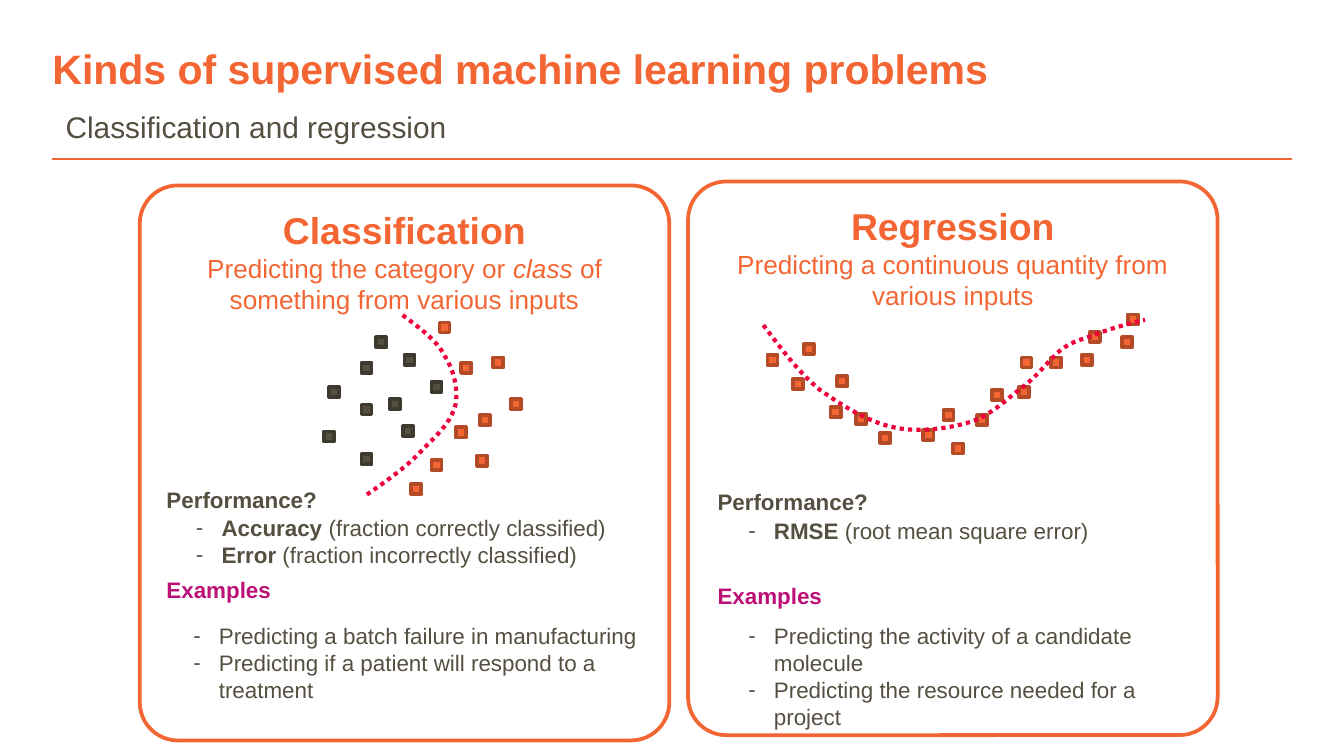
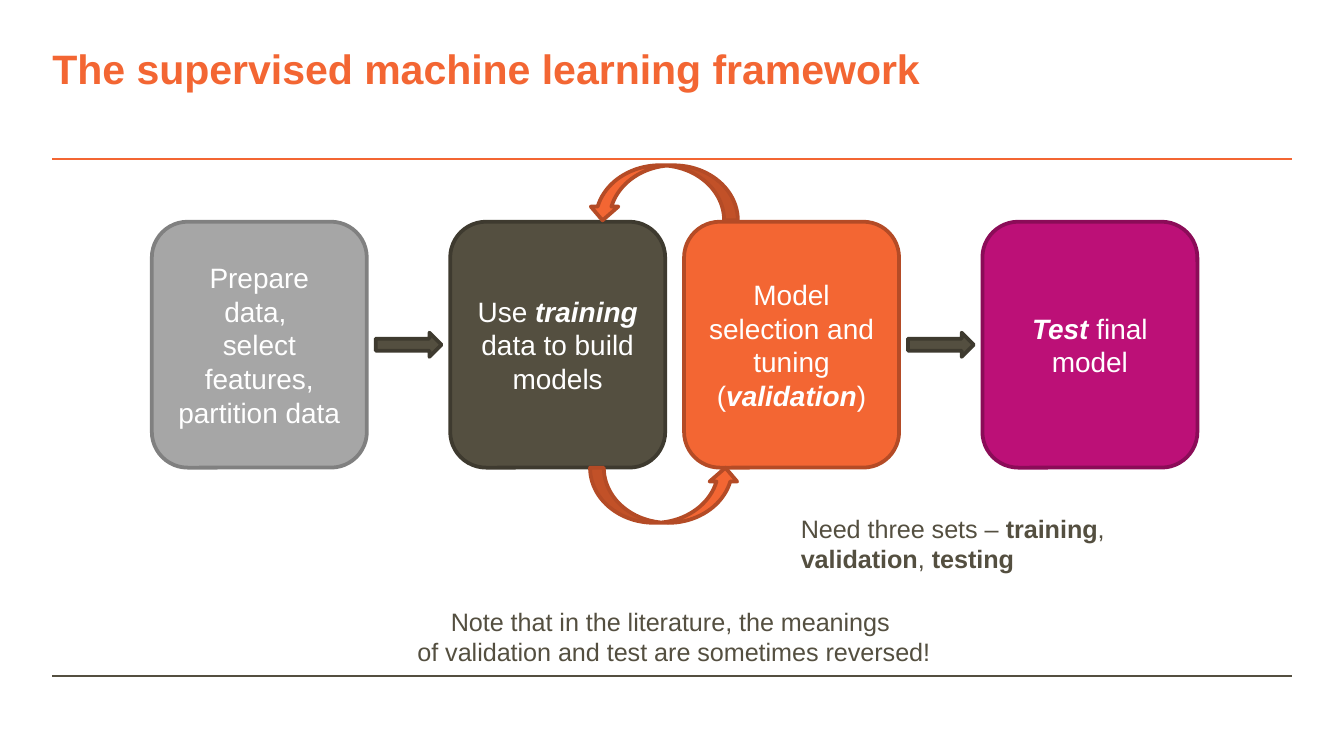
from lxml.etree import SubElement
from pptx import Presentation
from pptx.dml.color import RGBColor
from pptx.enum.dml import MSO_LINE
from pptx.enum.shapes import MSO_CONNECTOR, MSO_SHAPE
from pptx.enum.text import MSO_ANCHOR, MSO_AUTO_SIZE, PP_ALIGN
from pptx.oxml.ns import qn
from pptx.util import Inches, Pt

W = 10
H = W * 9 / 16
MARGIN = 0.39
FONT = "Arial"
C = {
    "orange": "F36633", "orange_edge": "B44B26",
    "olive": "544F40", "olive_edge": "3E3A2F",
    "grey": "A6A6A6", "grey_edge": "808080",
    "magenta": "BC1077", "magenta_edge": "8B0C58",
    "curve": "ED003C", "white": "FFFFFF",
}
BOLD, ITALIC, BOTH = {"bold": True}, {"italic": True}, {"bold": True, "italic": True}
HEAD = {"size": 20, "bold": True}

# Content: a paragraph is a list of (text, run format) pairs
DOT = 5.4 / 72
CARD_W = 3.94
CARDS = [
    {
        "at": (1.04, 1.38), "height": 4.13,
        "text": [[("Classification", HEAD)],
                 [("Predicting the category or ", {}), ("class", ITALIC),
                  (" of something from various inputs", {})]],
        "dots": {
            "orange": [(3.43, 2.7), (3.57, 3.09), (3.39, 3.18), (3.55, 3.39), (3.06, 3.6),
                       (3.27, 2.4), (3.67, 2.66), (3.8, 2.97), (3.21, 3.42)],
            "olive": [(3, 3.17), (2.69, 2.7), (3.21, 2.84), (2.69, 3.01), (2.8, 2.51),
                      (2.9, 2.97), (2.69, 3.38), (2.45, 2.88), (3.01, 2.64), (2.41, 3.21)],
        },
        "curve": [(2.73, 3.68), (3.05, 3.46), (3.08, 3.41), (3.19, 3.3), (3.3, 3.19),
                  (3.36, 3.12), (3.39, 3.01), (3.41, 2.9), (3.38, 2.76), (3.31, 2.65),
                  (3.25, 2.53), (3.12, 2.44), (2.99, 2.34)],
        "labels": (1.14, 3.57, 4.24),
        "measures_at": (1.36, 3.78, 3.31, 0.5),
        "measures": [[("Accuracy", BOLD), (" (fraction correctly classified)", {})],
                     [("Error", BOLD), (" (fraction incorrectly classified)", {})]],
        "examples_at": (1.34, 4.58, 3.54, 0.71),
        "examples": [[("Predicting a batch failure in manufacturing", {})],
                     [("Predicting if a patient will respond to a treatment", {})]],
    },
    {
        "at": (5.12, 1.35), "height": 4.12,
        "text": [[("Regression", HEAD)],
                 [("Predicting a continuous quantity from various inputs", {})]],
        "dots": {
            "orange": [(7.27, 3.09), (6.87, 3.2), (5.71, 2.64), (6.55, 3.22), (7.58, 2.88),
                       (5.9, 2.82), (8.11, 2.47), (8.39, 2.34), (7.82, 2.66), (6.23, 2.8),
                       (7.02, 3.05), (7.6, 2.66), (8.35, 2.51), (6.18, 3.03), (7.38, 2.9),
                       (5.98, 2.56), (8.05, 2.64), (6.37, 3.08), (7.09, 3.3)],
        },
        "curve": [(5.68, 2.42), (5.81, 2.59), (5.94, 2.77), (6.1, 2.9), (6.27, 3.02),
                  (6.46, 3.14), (6.65, 3.18), (6.83, 3.22), (7.06, 3.19), (7.22, 3.14),
                  (7.38, 3.09), (7.5, 2.96), (7.61, 2.88), (7.73, 2.79), (7.81, 2.67),
                  (7.9, 2.6), (7.98, 2.54), (8.04, 2.53), (8.15, 2.49), (8.25, 2.45),
                  (8.39, 2.41), (8.52, 2.38)],
        "labels": (5.24, 3.58, 4.28),
        "measures_at": (5.47, 3.8, 3.31, 0.3),
        "measures": [[("RMSE", BOLD), (" (root mean square error)", {})]],
        "examples_at": (5.47, 4.58, 3.54, 0.91),
        "examples": [[("Predicting the activity of a candidate molecule", {})],
                     [("Predicting the resource needed for a project", {})]],
    },
]

STEP_TOP, STEP_W, STEP_H = 1.65, 1.6, 1.83
STEPS = [
    (1.13, "grey", [[("Prepare data, ", {})], [("select features,", {})],
                    [("partition data", {})]]),
    (3.35, "olive", [[("Use ", {}), ("training", BOTH), (" data to build models", {})]]),
    (5.09, "orange", [[("Model selection and tuning", {})],
                      [("(", {}), ("validation", BOTH), (")", {})]]),
    (7.31, "magenta", [[("Test", BOTH), (" final model", {})]]),
]
ARROW_AFTER = (0, 2)
ARROW_W, ARROW_H = 0.49, 0.18
LOOP_W, LOOP_H = 0.41, 1.11
LOOPS = [(4.73, 0.88, 90), (4.74, 3.13, 270)]  # left, top, rotation
NEED = [[("Need three sets – ", {}), ("training", BOLD), (", ", {}),
         ("validation", BOLD), (", ", {}), ("testing", BOLD)]]
NOTE = [[("Note that in the literature, the meanings ", {})],
        [("of validation and test are sometimes reversed!", {})]]


def rgb(name):
    return RGBColor.from_string(C[name])


def inches(values):
    return [Inches(v) for v in values]


def write(tf, paras, size=12, color="olive", bold=False, align=PP_ALIGN.LEFT,
          bullet=False, after=None, inset=None, wrap=True):
    tf.word_wrap = wrap
    if inset is not None:
        tf.margin_left = tf.margin_top = tf.margin_right = tf.margin_bottom = Inches(inset)
    for i, runs in enumerate(paras):
        p = tf.add_paragraph() if i else tf.paragraphs[0]
        p.alignment = align
        if after is not None:
            p.space_after = Pt(after)
        if bullet:
            ppr = p._p.get_or_add_pPr()
            ppr.set("marL", str(Inches(0.19)))
            ppr.set("indent", str(-Inches(0.19)))
            clr = SubElement(ppr, qn("a:buClr"))
            SubElement(clr, qn("a:srgbClr")).set("val", C["olive"])
            SubElement(ppr, qn("a:buFont")).set("typeface", FONT)
            SubElement(ppr, qn("a:buChar")).set("char", "-")
        for text, fmt in runs:
            r = p.add_run()
            r.text = text
            r.font.name = FONT
            r.font.size = Pt(fmt.get("size", size))
            r.font.bold = fmt.get("bold", bold)
            r.font.italic = fmt.get("italic", False)
            r.font.color.rgb = rgb(color)


def add_text(slide, at, paras, **fmt):
    tf = slide.shapes.add_textbox(*inches(at)).text_frame
    write(tf, paras, **fmt)
    tf.auto_size = MSO_AUTO_SIZE.SHAPE_TO_FIT_TEXT


def add_box(slide, kind, at, fill, line):
    sp = slide.shapes.add_shape(kind, *inches(at))
    sp.shadow.inherit = False
    sp.fill.solid()
    sp.fill.fore_color.rgb = rgb(fill)
    sp.line.color.rgb = rgb(line)
    sp.line.width = Pt(2)
    return sp


def add_rule(slide, y, color):
    ln = slide.shapes.add_connector(
        MSO_CONNECTOR.STRAIGHT, *inches((MARGIN, y, W - MARGIN, y)))
    ln.line.color.rgb = rgb(color)
    ln.line.width = Pt(1)
    SubElement(ln._element.spPr, qn("a:effectLst"))


def add_curve(slide, points):
    """Draw a dotted Bézier line: a start, then two handles and an end per segment."""
    pts = [inches(pt) for pt in points]
    fb = slide.shapes.build_freeform(*pts[0])
    fb.add_line_segments(pts[1:], close=False)
    sp = fb.convert_to_shape()
    outline = sp._element.find(".//" + qn("a:path"))
    lines = outline.findall(qn("a:lnTo"))
    for i in range(0, len(lines), 3):
        bezier = SubElement(outline, qn("a:cubicBezTo"))
        for ln in lines[i:i + 3]:
            bezier.append(ln[0])
            outline.remove(ln)
    sp.shadow.inherit = False
    sp.fill.background()
    sp.line.color.rgb = rgb("curve")
    sp.line.width = Pt(2.25)
    sp.line.dash_style = MSO_LINE.ROUND_DOT


def new_slide(prs, title):
    slide = prs.slides.add_slide(prs.slide_layouts[6])
    add_rule(slide, 1.18, "orange")
    add_text(slide, (MARGIN, 0.32, 8.29, 0.37), [[(title, {})]],
             size=22, color="orange", bold=True, inset=0)
    return slide


def add_card(slide, card):
    sp = add_box(slide, MSO_SHAPE.ROUNDED_RECTANGLE,
                 (*card["at"], CARD_W, card["height"]), "white", "orange")
    sp.adjustments[0] = 0.072
    sp.text_frame.vertical_anchor = MSO_ANCHOR.TOP
    write(sp.text_frame, card["text"], size=14, color="orange",
          align=PP_ALIGN.CENTER, inset=0.08)
    for color, spots in card["dots"].items():
        for x, y in spots:
            add_box(slide, MSO_SHAPE.RECTANGLE, (x, y, DOT, DOT), color, color + "_edge")
    add_curve(slide, card["curve"])
    x, *tops = card["labels"]
    for y, label, color in zip(tops, ("Performance?", "Examples"), ("olive", "magenta")):
        add_text(slide, (x, y, 1.45, 0.3), [[(label, {})]], color=color, bold=True)
    for part in ("measures", "examples"):
        add_text(slide, card[part + "_at"], card[part], bullet=True)


def build_kinds(prs):
    slide = new_slide(prs, "Kinds of supervised machine learning problems")
    add_text(slide, (MARGIN, 0.76, 8.29, 0.3), [[("Classification and regression", {})]],
             size=16, after=6)
    for card in CARDS:
        add_card(slide, card)


def build_framework(prs):
    slide = new_slide(prs, "The supervised machine learning framework")
    add_rule(slide, 5.03, "olive")
    # Steps
    for x, color, paras in STEPS:
        sp = add_box(slide, MSO_SHAPE.ROUNDED_RECTANGLE,
                     (x, STEP_TOP, STEP_W, STEP_H), color, color + "_edge")
        sp.text_frame.vertical_anchor = MSO_ANCHOR.MIDDLE
        write(sp.text_frame, paras, size=15, color="white", align=PP_ALIGN.CENTER)
    # Arrows centred in the wide gaps
    for i in ARROW_AFTER:
        middle = (STEPS[i][0] + STEP_W + STEPS[i + 1][0]) / 2
        add_box(slide, MSO_SHAPE.RIGHT_ARROW,
                (middle - ARROW_W / 2, STEP_TOP + (STEP_H - ARROW_H) / 2, ARROW_W, ARROW_H),
                "olive", "olive_edge")
    # Loop between training and validation
    for x, y, turn in LOOPS:
        sp = add_box(slide, MSO_SHAPE.CURVED_RIGHT_ARROW, (x, y, LOOP_W, LOOP_H),
                     "orange", "orange_edge")
        sp.rotation = turn
    # Notes
    add_text(slide, (2.98, 4.46, 4.07, 0.56), NOTE, size=13.5,
             align=PP_ALIGN.CENTER, wrap=False)
    add_text(slide, (5.86, 3.77, 2.48, 0.56), NEED, size=13.5)


def main():
    prs = Presentation()
    prs.slide_width, prs.slide_height = inches((W, H))
    build_kinds(prs)
    build_framework(prs)
    prs.save("out.pptx")


if __name__ == "__main__":
    main()
